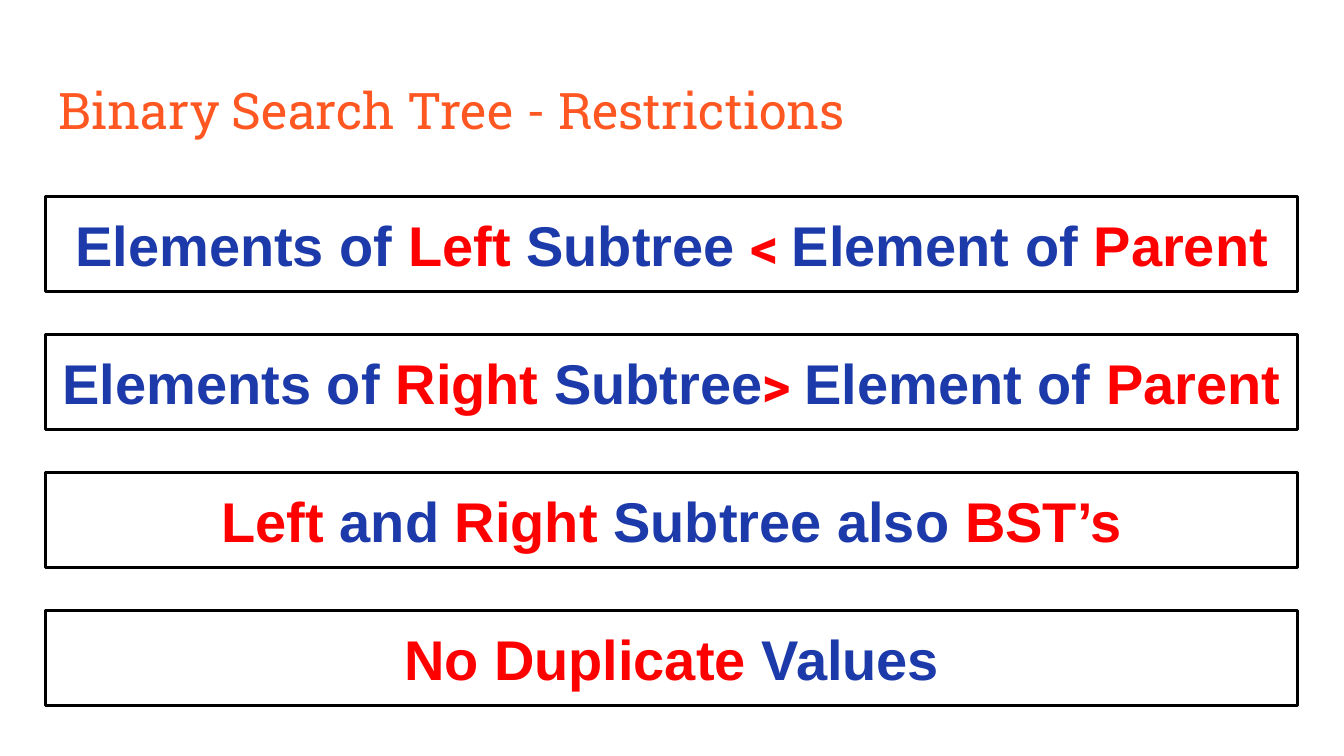
from pptx import Presentation
from pptx.dml.color import RGBColor
from pptx.enum.shapes import MSO_SHAPE
from pptx.enum.text import MSO_ANCHOR, PP_ALIGN
from pptx.util import Cm, Pt

BLUE, RED, ORANGE, BLACK = "1C3AA9", "FF0000", "FF5722", "000000"
BODY_FONT, SLAB_FONT = "Arial", "Roboto Slab"
LEFT, WIDTH = 0.86, 23.67
FIRST_TOP, ROW_HEIGHT, ROW_PITCH = 3.71, 1.8, 2.61

RESTRICTIONS = [
    [("Elements of ", BLUE), ("Left ", RED), ("Subtree ", BLUE), ("< ", RED),
     ("Element of ", BLUE), ("Parent", RED)],
    [("Elements of ", BLUE), ("Right ", RED), ("Subtree", BLUE), ("> ", RED),
     ("Element of ", BLUE), ("Parent", RED)],
    [("Left ", RED), ("and ", BLUE), ("Right ", RED), ("Subtree also ", BLUE),
     ("BST’s", RED)],
    [("No Duplicate", RED), (" Values", BLUE)],
]


def color(hex_code):
    return RGBColor.from_string(hex_code)


def add_run(paragraph, text, hex_code, **font_format):
    run = paragraph.add_run()
    run.text = text
    run.font.color.rgb = color(hex_code)
    for name, value in font_format.items():
        setattr(run.font, name, value)


prs = Presentation()
prs.slide_width, prs.slide_height = Cm(25.4), Cm(14.29)
slide = prs.slides.add_slide(prs.slide_layouts[6])

heading = slide.shapes.add_textbox(Cm(LEFT), Cm(1.24), Cm(WIDTH), Cm(1.6))
frames = [heading.text_frame]
add_run(heading.text_frame.paragraphs[0], "Binary Search Tree - Restrictions",
        ORANGE, name=SLAB_FONT, size=Pt(27))

for row, phrases in enumerate(RESTRICTIONS):
    rule = slide.shapes.add_shape(
        MSO_SHAPE.RECTANGLE, Cm(LEFT), Cm(FIRST_TOP + row * ROW_PITCH),
        Cm(WIDTH), Cm(ROW_HEIGHT))
    rule.shadow.inherit = False
    rule.fill.background()
    rule.line.color.rgb = color(BLACK)
    rule.line.width = Pt(1.5)
    rule.text_frame.vertical_anchor = MSO_ANCHOR.MIDDLE
    frames.append(rule.text_frame)

    sentence = rule.text_frame.paragraphs[0]
    sentence.alignment = PP_ALIGN.CENTER
    for text, hex_code in phrases:
        font = SLAB_FONT if text.strip() in ("<", ">") else BODY_FONT
        add_run(sentence, text, hex_code, name=font, size=Pt(30), bold=True)

frame_format = {"word_wrap": True}
for side in ("left", "top", "right", "bottom"):
    frame_format[f"margin_{side}"] = Cm(0.25)
for frame in frames:
    for name, value in frame_format.items():
        setattr(frame, name, value)

prs.save("out.pptx")
